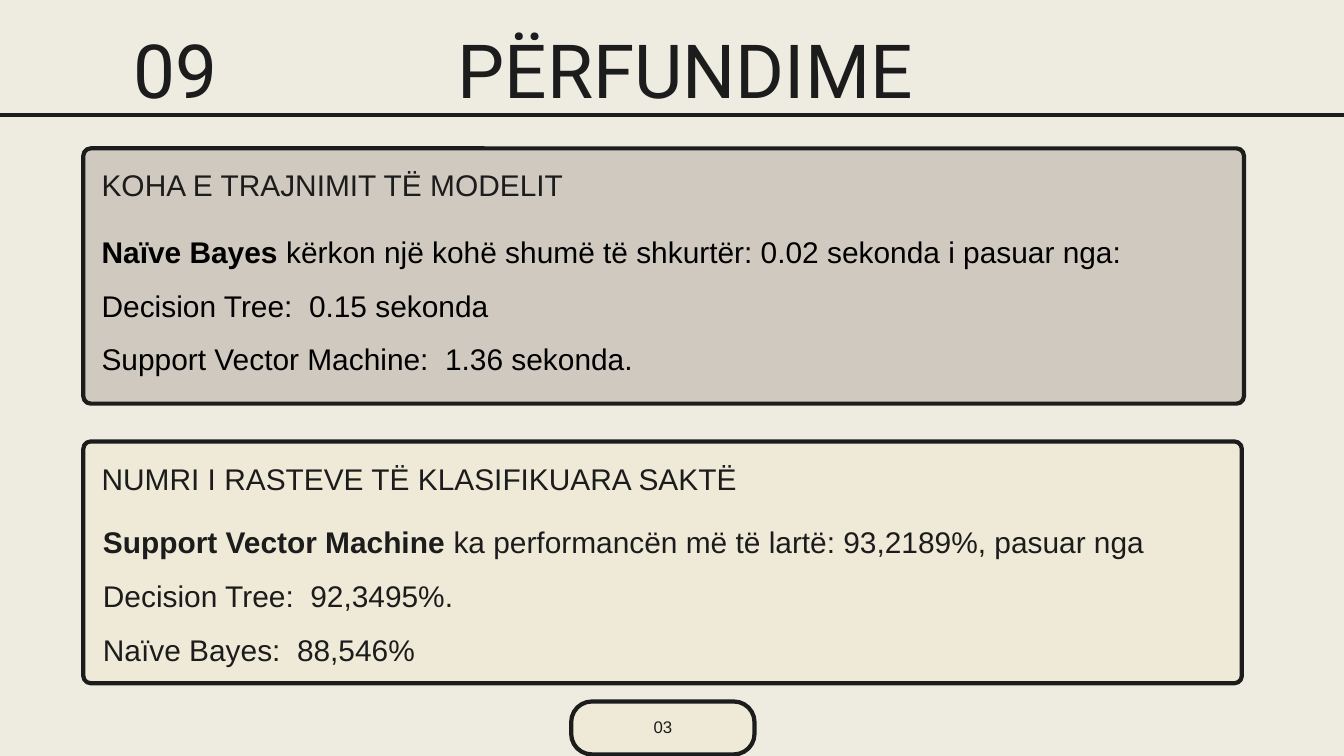
from dataclasses import dataclass

from lxml import etree
from pptx import Presentation
from pptx.dml.color import RGBColor
from pptx.enum import shapes, text
from pptx.oxml import ns
from pptx.util import Cm, Pt


@dataclass(frozen=True)
class Theme:
    page: RGBColor = RGBColor.from_string("EEECE1")
    ink: RGBColor = RGBColor.from_string("1C1C1C")
    black: RGBColor = RGBColor.from_string("000000")
    taupe: RGBColor = RGBColor.from_string("D0C9C0")
    cream: RGBColor = RGBColor.from_string("EFEAD8")
    title_font: str = "Roboto"
    body_font: str = "Arial"
    title_size: Pt = Pt(80)
    body_size: Pt = Pt(32)
    page_size: Pt = Pt(18)
    line: Pt = Pt(4.5)


T = Theme()
SLIDE_W, SLIDE_H = Cm(50.8), Cm(28.58)
PANEL_X = 3.15

# top, width, height, fill, heading, text left, text top, text colour, lines (bold part, rest)
PANELS = [
    (5.61, 43.87, 9.65, T.taupe, "KOHA E TRAJNIMIT TË MODELIT", 3.84, 8.15, T.black, [
        ("Naïve Bayes ", "kërkon një kohë shumë të shkurtër: 0.02 sekonda i pasuar nga:"),
        ("", "Decision Tree:  0.15 sekonda"),
        ("", "Support Vector Machine:  1.36 sekonda."),
    ]),
    (16.69, 43.79, 9.14, T.cream, "NUMRI I RASTEVE TË KLASIFIKUARA SAKTË", 3.89, 19.13, T.ink, [
        ("Support Vector Machine ", "ka performancën më të lartë: 93,2189%, pasuar nga"),
        ("", "Decision Tree:  92,3495%."),
        ("", "Naïve Bayes:  88,546%"),
    ]),
]


def place(sp, left, top, width, height):
    sp.left, sp.top, sp.width, sp.height = Cm(left), Cm(top), Cm(width), Cm(height)


def set_frame(tf, left=0, top=0, anchor=text.MSO_ANCHOR.TOP):
    tf.word_wrap = True
    tf.auto_size = text.MSO_AUTO_SIZE.NONE
    tf.vertical_anchor = anchor
    tf.margin_left, tf.margin_top = Cm(left), Cm(top)
    tf.margin_right = tf.margin_bottom = 0


def format_paragraph(p, size, color, spacing, font=T.body_font, align=text.PP_ALIGN.LEFT):
    p.alignment = align
    p.line_spacing = spacing
    p.space_before = Pt(0)
    for r in p.runs:
        r.font.size, r.font.name = size, font
        r.font.color.rgb = color


def add_title(s, number, title):
    """Put the section number and the title on one line, parted by a tab stop."""
    sp = s.shapes.title
    place(sp, 5.05, 1.45, 38, 3)
    set_frame(sp.text_frame)
    sp.text_frame.text = f"{number}\t{title}"
    p = sp.text_frame.paragraphs[0]
    format_paragraph(p, T.title_size, T.ink, T.title_size, T.title_font)
    tabs = etree.SubElement(p._p.get_or_add_pPr(), ns.qn("a:tabLst"))
    etree.SubElement(tabs, ns.qn("a:tab"), pos=str(Cm(12.25)), algn="l")


def add_box(s, left, top, width, height, radius, fill):
    sp = s.shapes.add_shape(shapes.MSO_SHAPE.ROUNDED_RECTANGLE,
                            Cm(left), Cm(top), Cm(width), Cm(height))
    sp.adjustments[0] = radius / height
    sp.shadow.inherit = False
    sp.fill.solid()
    sp.fill.fore_color.rgb = fill
    sp.line.color.rgb = T.ink
    sp.line.width = T.line
    return sp


def add_panel(s, top, width, height, fill, heading):
    """Add a headed panel behind the placeholders."""
    sp = add_box(s, PANEL_X, top, width, height, 0.28, fill)
    set_frame(sp.text_frame, 0.61, 0.65)
    sp.text_frame.text = heading
    format_paragraph(sp.text_frame.paragraphs[0], T.body_size, T.ink, Pt(37.8))
    sp.element.getparent().insert(2, sp.element)


def fill_body(sp, left, top, color, lines):
    place(sp, left, top, 42, 5.92)
    tf = sp.text_frame
    set_frame(tf)
    tf.text = "\n".join(rest for _, rest in lines)
    for p, (lead, rest) in zip(tf.paragraphs, lines):
        if lead:
            p.runs[0].text = lead
            p.runs[0].font.bold = True
            p.add_run().text = rest
        format_paragraph(p, T.body_size, color, 1.5)
        pPr = p._p.get_or_add_pPr()
        pPr.set("marL", "0")
        pPr.set("indent", "0")
        etree.SubElement(pPr, ns.qn("a:buNone"))


def add_rule(s, y):
    line = s.shapes.add_connector(shapes.MSO_CONNECTOR.STRAIGHT, 0, Cm(y), SLIDE_W, Cm(y))
    line.line.color.rgb = T.ink
    line.line.width = T.line
    etree.SubElement(line._element.spPr, ns.qn("a:effectLst"))


def add_page_number(s, number):
    sp = add_box(s, 21.59, 26.52, 6.93, 2, 0.78, T.cream)
    set_frame(sp.text_frame, anchor=text.MSO_ANCHOR.MIDDLE)
    sp.text_frame.text = number
    format_paragraph(sp.text_frame.paragraphs[0], T.page_size, T.ink, Pt(20),
                     align=text.PP_ALIGN.CENTER)


def main():
    prs = Presentation()
    prs.slide_width, prs.slide_height = SLIDE_W, SLIDE_H
    s = prs.slides.add_slide(prs.slide_layouts.get_by_name("Two Content"))
    s.background.fill.solid()
    s.background.fill.fore_color.rgb = T.page

    add_title(s, "09", "PËRFUNDIME")
    bodies = [s.placeholders[1], s.placeholders[2]]
    for body, (top, width, height, fill, heading, *content) in zip(bodies, PANELS):
        add_panel(s, top, width, height, fill, heading)
        fill_body(body, *content)
    add_rule(s, 4.34)
    add_page_number(s, "03")
    prs.save("out.pptx")


if __name__ == "__main__":
    main()
